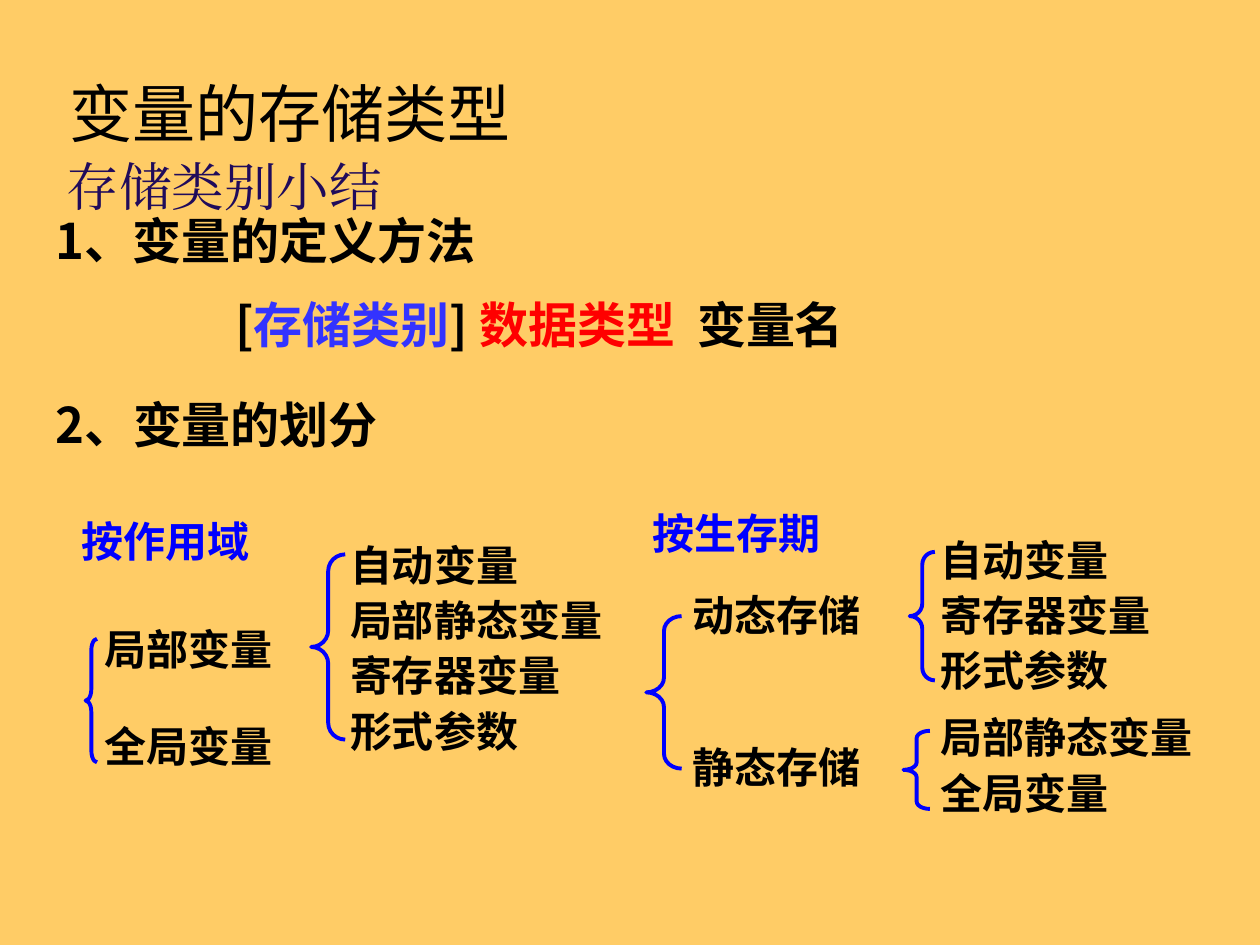
"""Build a slide that sums up the storage classes of variables."""
import pptx
import pptx.dml.color
import pptx.enum.shapes
import pptx.enum.text
import pptx.oxml.ns
import pptx.util
from lxml import etree

Inches, Pt = pptx.util.Inches, pptx.util.Pt
SANS, SERIF = "Noto Sans CJK SC", "Times New Roman"
BLACK, BLUE = "000000", "0000FF"

TITLE = ("变量的存储类型", (0.45, 0.53, 9, 0.72))
BODY = ("存储类别小结", (0.43, 1.23, 7.17, 0.55))
HEADS = [
    ("1、变量的定义方法", (0.34, 1.62, 4.34, 0.57)),
    ("2、变量的划分", (0.34, 3.08, 3.71, 0.57)),
]
SYNTAX = [("[", BLACK), ("存储类别", "3333FF"), ("] ", BLACK),
          ("数据类型  ", "FF0000"), ("变量名", BLACK)]
SYNTAX_BOX = (1.77, 2.29, 6.38, 0.57)
TREES = [
    {
        "head": ("按作用域", (0.55, 4.04, 1.54, 0.5)),
        "lists": [
            (["局部变量", "全局变量"], (0.73, 4.7, 1.68, 1.5), 1.5, 12, 12),
            (["自动变量", "局部静态变量", "寄存器变量", "形式参数"],
             (2.68, 4.19, 2.56, 1.86), 1.1, 0, 0),
        ],
        "braces": [((2.47, 4.4, 0.27, 1.47), 0.49), ((0.68, 5.07, 0.09, 0.98), 1.02)],
    },
    {
        "head": ("按生存期", (5.08, 3.98, 1.54, 0.5)),
        "lists": [
            (["动态存储", "静态存储"], (5.4, 4.63, 1.76, 1.7), 1, 0, 58),
            (["自动变量", "寄存器变量", "形式参数"], (7.37, 4.15, 1.87, 1.42), 1.1, 0, 0),
            (["局部静态变量", "全局变量"], (7.37, 5.56, 2.3, 0.98), 1.1, 0, 0),
        ],
        "braces": [((7.22, 4.38, 0.2, 1.02), 0.5), ((5.13, 4.89, 0.28, 1.21), 0.42),
                   ((7.17, 5.8, 0.21, 0.62), 0.28)],
    },
]


def rgb(code):
    return pptx.dml.color.RGBColor.from_string(code)


def place(box):
    return [Inches(n) for n in box]


def style(para, size, color=None, face=SANS, bold=False):
    font = para.font
    font.size, font.bold, font.name = Pt(size), bold, face
    if color:
        font.color.rgb = rgb(color)
    east = etree.Element(pptx.oxml.ns.qn("a:ea"), typeface=face)
    font._element.find(pptx.oxml.ns.qn("a:latin")).addnext(east)


def add_text(shapes, box):
    frame = shapes.add_textbox(*place(box)).text_frame
    frame.word_wrap = True
    frame.auto_size = pptx.enum.text.MSO_AUTO_SIZE.SHAPE_TO_FIT_TEXT
    return frame


def add_line(shapes, text, box, size, color):
    para = add_text(shapes, box).paragraphs[0]
    para.text = text
    style(para, size, color, bold=True)


def add_list(shapes, items, box, pitch, first, gap):
    frame = add_text(shapes, box)
    frame.text = "\n".join(items)
    for i, para in enumerate(frame.paragraphs):
        style(para, 24, BLACK, bold=True)
        para.line_spacing = pitch
        para.space_before = Pt(gap if i else first)


def add_brace(shapes, box, bend):
    brace = shapes.add_shape(pptx.enum.shapes.MSO_SHAPE.LEFT_BRACE, *place(box))
    brace.adjustments[0] = bend
    brace.shadow.inherit = False
    brace.fill.background()
    brace.line.color.rgb = rgb(BLUE)
    brace.line.width = Pt(2.25)


def fill_holder(holder, text, box, anchor):
    holder.left, holder.top, holder.width, holder.height = place(box)
    frame = holder.text_frame
    frame.text = text
    frame.auto_size = pptx.enum.text.MSO_AUTO_SIZE.NONE
    frame.vertical_anchor = anchor
    para = frame.paragraphs[0]
    para.alignment = pptx.enum.text.PP_ALIGN.LEFT
    return para


def main():
    deck = pptx.Presentation()
    deck.slide_width, deck.slide_height = Inches(10), Inches(7.5)
    slide = deck.slides.add_slide(deck.slide_layouts[1])
    slide.background.fill.solid()
    slide.background.fill.fore_color.rgb = rgb("FFCC66")
    shapes, anchor = slide.shapes, pptx.enum.text.MSO_ANCHOR

    style(fill_holder(shapes.title, *TITLE, anchor.MIDDLE), 36, BLACK)
    para = fill_holder(slide.placeholders[1], *BODY, anchor.TOP)
    para.line_spacing, para.space_before = 0.9, Pt(6)
    style(para, 30, "200B5B", SERIF)
    props = para._p.get_or_add_pPr()
    props.set("marL", str(Inches(0.54)))
    props.set("indent", str(Inches(-0.54)))
    props.find(pptx.oxml.ns.qn("a:defRPr")).addprevious(
        etree.Element(pptx.oxml.ns.qn("a:buNone")))

    for text, box in HEADS:
        add_line(shapes, text, box, 28, BLACK)
    para = add_text(shapes, SYNTAX_BOX).paragraphs[0]
    style(para, 28, bold=True)
    for text, color in SYNTAX:
        run = para.add_run()
        run.text = text
        run.font.color.rgb = rgb(color)

    for tree in TREES:
        group = shapes.add_group_shape().shapes
        add_line(group, *tree["head"], 24, BLUE)
        for row in tree["lists"]:
            add_list(group, *row)
        for box, bend in tree["braces"]:
            add_brace(group, box, bend)
    deck.save("out.pptx")


if __name__ == "__main__":
    main()
